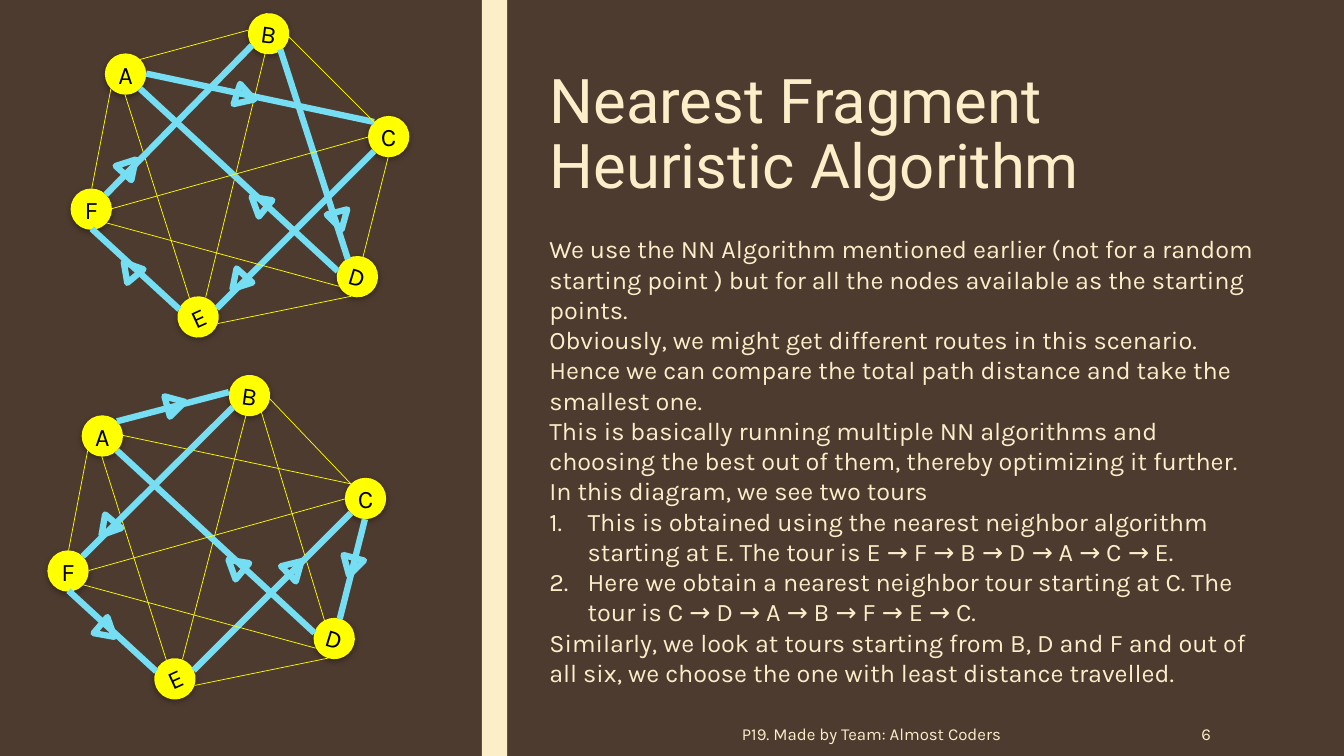
"""Builds a slide on the nearest fragment heuristic with two tours drawn as graphs."""
from lxml.etree import SubElement
from pptx import Presentation
from pptx.dml.color import RGBColor
from pptx.enum.shapes import MSO_CONNECTOR as Connector, MSO_SHAPE as Shape
from pptx.enum.text import MSO_ANCHOR as Anchor, MSO_AUTO_SIZE as AutoSize, PP_ALIGN as Align
from pptx.oxml.ns import qn
from pptx.util import Emu, Pt

BROWN = RGBColor(0x4E, 0x3B, 0x30)
CREAM = RGBColor(0xFB, 0xEE, 0xC9)
YELLOW = RGBColor(0xFF, 0xFF, 0x00)
CYAN = RGBColor(0x75, 0xDE, 0xF3)
BLACK = RGBColor(0x00, 0x00, 0x00)


def px(*lengths):
    """Turn lengths of 100 px to the inch into EMU."""
    return [Emu(length * 9144) for length in lengths]


def write(para, text, size, color=CREAM, align=Align.LEFT, font="Karla"):
    """Fill a paragraph and format it."""
    para.text = text
    para.alignment = align
    para.font.size = Pt(size)
    para.font.name = font
    para.font.color.rgb = color


deck = Presentation()
deck.slide_width, deck.slide_height = px(1333, 750)
page = deck.slides.add_slide(deck.slide_layouts[5])
page.background.fill.solid()
page.background.fill.fore_color.rgb = BROWN

title = page.shapes.title
title.left, title.top, title.width, title.height = px(535, 65, 595, 160)
title.text_frame.word_wrap = True
title.text_frame.auto_size = AutoSize.NONE
title.text_frame.vertical_anchor = Anchor.TOP
heading = title.text_frame.paragraphs[0]
write(heading, "Nearest Fragment Heuristic Algorithm", 44, font="Roboto")
heading.line_spacing = 0.89

divider = page.shapes.add_shape(Shape.RECTANGLE, *px(478, 0, 25, 750))
divider.shadow.inherit = False
divider.fill.solid()
divider.fill.fore_color.rgb = CREAM
divider.line.fill.background()

NODES = {
    "A": (104, 53, 0), "E": (176, 294, 335.5), "D": (334, 254, 16.9),
    "F": (70, 187, 0), "C": (365, 115, 0), "B": (246, 13, 7.9),
}
EDGES = {
    "AE": (124, 94, 188, 296), "FE": (91, 227, 178, 307), "DE": (348, 294, 216, 321),
    "AB": (139, 59, 246, 30), "AC": (145, 73, 371, 121), "DB": (345, 257, 278, 49),
    "CB": (371, 121, 286, 36), "EB": (204, 295, 263, 53), "EC": (215, 306, 371, 150),
    "DC": (360, 255, 385, 156), "AD": (139, 88, 335, 269), "FD": (105, 221, 336, 284),
    "FC": (111, 207, 365, 136), "FB": (105, 193, 250, 45), "AF": (110, 88, 91, 187),
}
TOURS = [
    ("EFBDACE", 0, 0, 0, [
        (118, 156, 42), (118, 258, 320.1), (326, 210, 165.5),
        (233, 87, 107.9), (226, 271, 221.7), (246, 192, 309.7)]),
    ("CDABFEC", -23, 359, 4, [
        (96, 515, 220.1), (96, 617, 130.6), (164, 392, 74.9),
        (282, 554, 46), (338, 553, 195.3), (223, 552, 309.7)]),
]

for tour, shift_x, shift_y, extra_b, arrows in TOURS:
    offset = {name: shift_x + (extra_b if name == "B" else 0) for name in NODES}
    for name, (left, top, turn) in NODES.items():
        node = page.shapes.add_shape(
            Shape.OVAL, *px(left + offset[name], top + shift_y, 41, 41))
        node.rotation = turn
        node.fill.solid()
        node.fill.fore_color.rgb = YELLOW
        node.line.fill.background()
        node.shadow.inherit = False
        effects = node._element.spPr.find(qn("a:effectLst"))
        shadow = SubElement(effects, qn("a:outerShdw"), blurRad="57150", dist="19050",
                            dir="5400000", algn="ctr", rotWithShape="0")
        shade = SubElement(shadow, qn("a:srgbClr"), val="000000")
        SubElement(shade, qn("a:alpha"), val="35000")
        frame = node.text_frame
        frame.margin_left = frame.margin_right = frame.margin_top = frame.margin_bottom = 0
        frame.word_wrap = False
        frame.vertical_anchor = Anchor.MIDDLE
        write(frame.paragraphs[0], name, 18, BLACK, Align.CENTER)

    legs = [{start, end} for start, end in zip(tour, tour[1:])]
    for (start, end), (x1, y1, x2, y2) in EDGES.items():
        edge = page.shapes.add_connector(Connector.STRAIGHT, *px(
            x1 + offset[start], y1 + shift_y, x2 + offset[end], y2 + shift_y))
        on_tour = {start, end} in legs
        edge.line.color.rgb = CYAN if on_tour else YELLOW
        edge.line.width = Pt(4.5 if on_tour else 0.5)
        SubElement(edge._element.spPr, qn("a:effectLst"))

    for left, top, turn in arrows:
        arrow = page.shapes.add_shape(Shape.ISOSCELES_TRIANGLE, *px(left, top, 21, 18))
        arrow.rotation = turn
        arrow.shadow.inherit = False
        arrow.fill.background()
        arrow.line.color.rgb = CYAN
        arrow.line.width = Pt(4.5)

FOOTERS = [(1036, 175, "6"), (316, 687, "P19. Made by Team: Almost Coders")]
for left, width, text in FOOTERS:
    footer = page.shapes.add_textbox(*px(left, 706, width, 44)).text_frame
    footer.word_wrap = True
    footer.vertical_anchor = Anchor.MIDDLE
    write(footer.paragraphs[0], text, 12, align=Align.RIGHT)

BODY = [
    (False, "We use the NN Algorithm mentioned earlier (not for a random starting point ) "
            "but for all the nodes available as the starting points."),
    (False, "Obviously, we might get different routes in this scenario. Hence we can "
            "compare the total path distance and take the smallest one."),
    (False, "This is basically running multiple NN algorithms and choosing the best out "
            "of them, thereby optimizing it further."),
    (False, "In this diagram, we see two tours"),
    (True, "This is obtained using the nearest neighbor algorithm starting at E. "
           "The tour is E → F → B → D → A → C → E."),
    (True, "Here we obtain a nearest neighbor tour starting at C. "
           "The tour is C → D → A → B → F → E → C."),
    (False, "Similarly, we look at tours starting from B, D and F and out of all six, "
            "we choose the one with least distance travelled."),
]
body = page.shapes.add_textbox(*px(535, 227, 726, 495)).text_frame
body.word_wrap = True
for index, (numbered, text) in enumerate(BODY):
    para = body.add_paragraph() if index else body.paragraphs[0]
    if numbered:
        indent = px(38)[0]
        properties = para._p.get_or_add_pPr()
        properties.set("marL", str(indent))
        properties.set("indent", str(-indent))
        SubElement(properties, qn("a:buFont"), typeface="+mj-lt")
        SubElement(properties, qn("a:buAutoNum"), type="arabicPeriod")
    write(para, text, 18)

deck.save("out.pptx")
